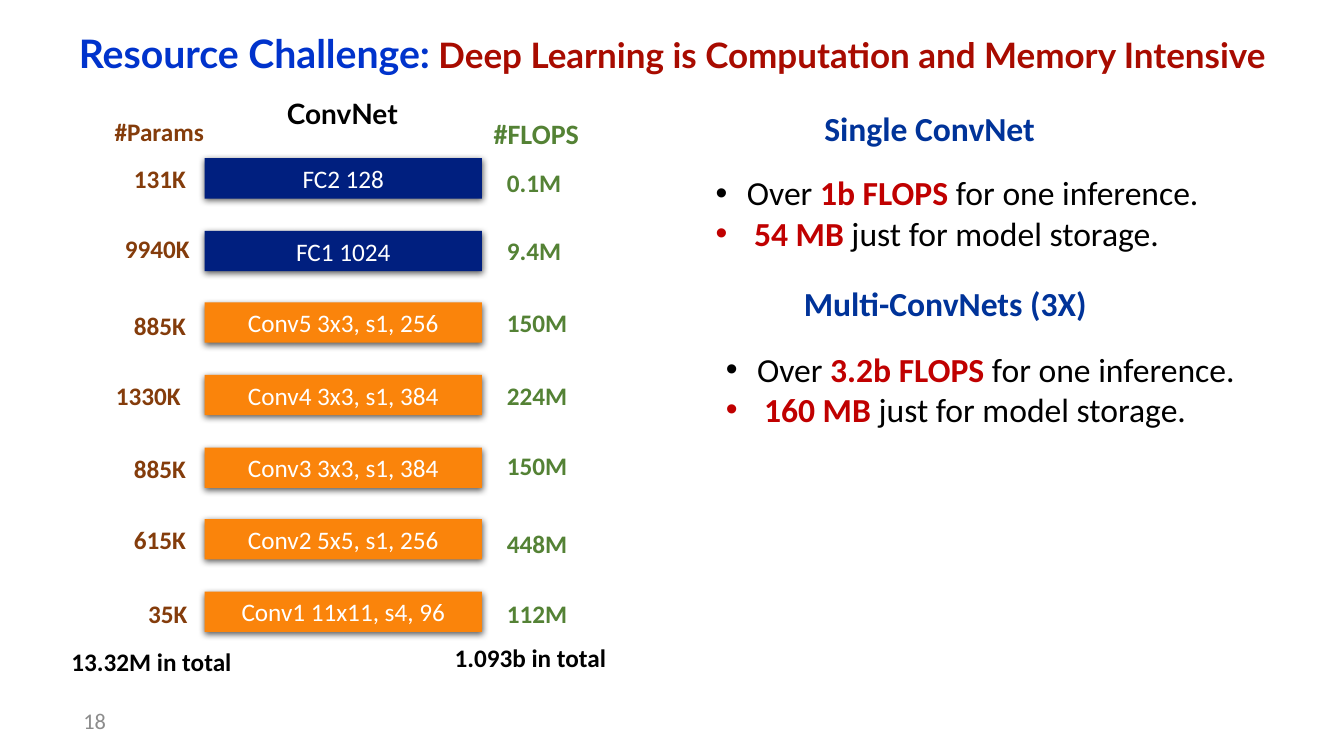
from lxml import etree
from pptx import Presentation
from pptx import util as u
from pptx.dml import color
from pptx.enum import shapes, text
from pptx.oxml import ns

PX = 9144
BLACK, WHITE, GRAY = "000000", "FFFFFF", "8C8C8C"
NAVY, ORANGE, BROWN, GREEN = "001F7F", "FA840B", "843C0B", "548235"
TITLE_BLUE, TITLE_RED = "0033CC", "A80B00"
HEADING_BLUE, RED = "003399", "C00000"
LEFT, CENTER, RIGHT = text.PP_ALIGN.LEFT, text.PP_ALIGN.CENTER, text.PP_ALIGN.RIGHT
TOP, MIDDLE = text.MSO_ANCHOR.TOP, text.MSO_ANCHOR.MIDDLE
FIT, FIXED = text.MSO_AUTO_SIZE.SHAPE_TO_FIT_TEXT, text.MSO_AUTO_SIZE.NONE

LAYERS_TOP, LAYERS_SPAN = 157, 430
LABEL_WIDTHS = {3: 67, 4: 80, 5: 98}
LAYERS = [
    ("FC2 128", NAVY, "131K", 123, 0, "0.1M", 4),
    ("FC1 1024", NAVY, "9940K", 114, -2, "9.4M", 0),
    ("Conv5 3x3, s1, 256", ORANGE, "885K", 123, 3, "150M", 0),
    ("Conv4 3x3, s1, 384", ORANGE, "1330K", 105, 0, "224M", 0),
    ("Conv3 3x3, s1, 384", ORANGE, "885K", 123, 1, "150M", -2),
    ("Conv2 5x5, s1, 256", ORANGE, "615K", 123, 0, "448M", 4),
    ("Conv1 11x11, s4, 96", ORANGE, "35K", 137, 2, "112M", 2),
]
CAPTIONS = [
    ("#Params", (101, 110, 114, 40), 18, BROWN, "Calibri"),
    ("#FLOPS", (475, 111, 114, 44), 20, GREEN, "Calibri"),
    ("ConvNet", (262, 91, 155, 44), 20, BLACK, "Lato"),
]
TOTALS = [
    ("13.32M in total", (61, 636, 186, 40)),
    ("1.093b in total", (441, 632, 181, 40)),
]
COSTS = [
    ("Single ConvNet", (789, 102, 266, 56), (700, 166, 581, 91), "1b FLOPS", "54 MB"),
    ("Multi-ConvNets (3X)", (774, 276, 327, 56), (710, 341, 572, 91), "3.2b FLOPS", "160 MB"),
]


def px(*lengths):
    return [u.Emu(length * PX) for length in lengths]


def rgb(value):
    return color.RGBColor.from_string(value)


def apply(target, values):
    for name, value in values.items():
        setattr(target, name, value)


def add_run(paragraph, words, size, tint, bold=False, font="Calibri"):
    run = paragraph.add_run()
    run.text = words
    apply(run.font, {"size": u.Pt(size), "bold": bold, "name": font})
    run.font.color.rgb = rgb(tint)


def add_box(slide, place, align=LEFT, anchor=TOP, fit=FIT):
    frame = slide.shapes.add_textbox(*px(*place)).text_frame
    apply(frame, {"word_wrap": True, "auto_size": fit, "vertical_anchor": anchor})
    paragraph = frame.paragraphs[0]
    paragraph.alignment = align
    return frame, paragraph


def add_label(slide, words, place, size, tint, align=LEFT, font="Calibri", fit=FIT):
    _, paragraph = add_box(slide, place, align, fit=fit)
    add_run(paragraph, words, size, tint, True, font)


def add_shadow(shape):
    shape.shadow.inherit = False
    effects = shape._element.spPr.find(ns.qn("a:effectLst"))
    shadow = etree.SubElement(effects, ns.qn("a:outerShdw"), blurRad="57150",
                              dist="19050", dir="5400000", algn="ctr", rotWithShape="0")
    tint = etree.SubElement(shadow, ns.qn("a:srgbClr"), val=BLACK)
    etree.SubElement(tint, ns.qn("a:alpha"), val="63000")


def add_layer(slide, name, fill, top):
    shape = slide.shapes.add_shape(shapes.MSO_SHAPE.RECTANGLE, *px(203, top, 275, 40))
    shape.fill.solid()
    shape.fill.fore_color.rgb = rgb(fill)
    shape.line.fill.background()
    add_shadow(shape)
    shape.text_frame.vertical_anchor = MIDDLE
    paragraph = shape.text_frame.paragraphs[0]
    paragraph.alignment = CENTER
    add_run(paragraph, name, 18, WHITE)


def add_bullet(paragraph, indent):
    properties = paragraph._p.get_or_add_pPr()
    properties.set("marL", str(indent * PX))
    properties.set("indent", str(-indent * PX))
    etree.SubElement(properties, ns.qn("a:buFont"), typeface="Arial")
    etree.SubElement(properties, ns.qn("a:buChar"), char="•")


def add_cost(slide, heading, heading_place, place, flops, storage):
    add_label(slide, heading, heading_place, 24, HEADING_BLUE, CENTER, fit=FIXED)
    frame, compute = add_box(slide, place)
    add_bullet(compute, 31)
    add_run(compute, "Over ", 24, BLACK)
    add_run(compute, flops, 24, RED, True)
    add_run(compute, " for one inference.", 24, BLACK)
    memory = frame.add_paragraph()
    add_bullet(memory, 38)
    add_run(memory, storage, 24, RED, True)
    add_run(memory, " just for model storage.", 24, BLACK)


def add_title(slide):
    _, paragraph = add_box(slide, (0, 16, 1333, 78), CENTER, MIDDLE, FIXED)
    paragraph.line_spacing = 0.9
    add_run(paragraph, "Resource Challenge:", 28, TITLE_BLUE, True, "Lato")
    add_run(paragraph, " Deep Learning is Computation and Memory Intensive",
            25, TITLE_RED, True, "Lato")


def add_network(slide):
    pitch = LAYERS_SPAN / (len(LAYERS) - 1)
    for index, (name, fill, params, left, params_shift, flops, flops_shift) in enumerate(LAYERS):
        top = LAYERS_TOP + round(index * pitch)
        add_layer(slide, name, fill, top)
        add_label(slide, params, (left, top + params_shift, LABEL_WIDTHS[len(params)], 40),
                  18, BROWN)
        add_label(slide, flops, (493, top + flops_shift, LABEL_WIDTHS[len(flops)], 40),
                  18, GREEN)
    for words, place, size, tint, font in CAPTIONS:
        add_label(slide, words, place, size, tint, CENTER, font)
    for words, place in TOTALS:
        add_label(slide, words, place, 18, BLACK)


def add_page_number(slide):
    _, paragraph = add_box(slide, (72, 695, 43, 40), RIGHT, MIDDLE, FIXED)
    add_run(paragraph, "18", 16, GRAY)


def main():
    presentation = Presentation()
    width, height = px(1333, 750)
    apply(presentation, {"slide_width": width, "slide_height": height})
    slide = presentation.slides.add_slide(presentation.slide_layouts[6])
    add_title(slide)
    add_network(slide)
    for cost in COSTS:
        add_cost(slide, *cost)
    add_page_number(slide)
    presentation.save("out.pptx")


if __name__ == "__main__":
    main()
